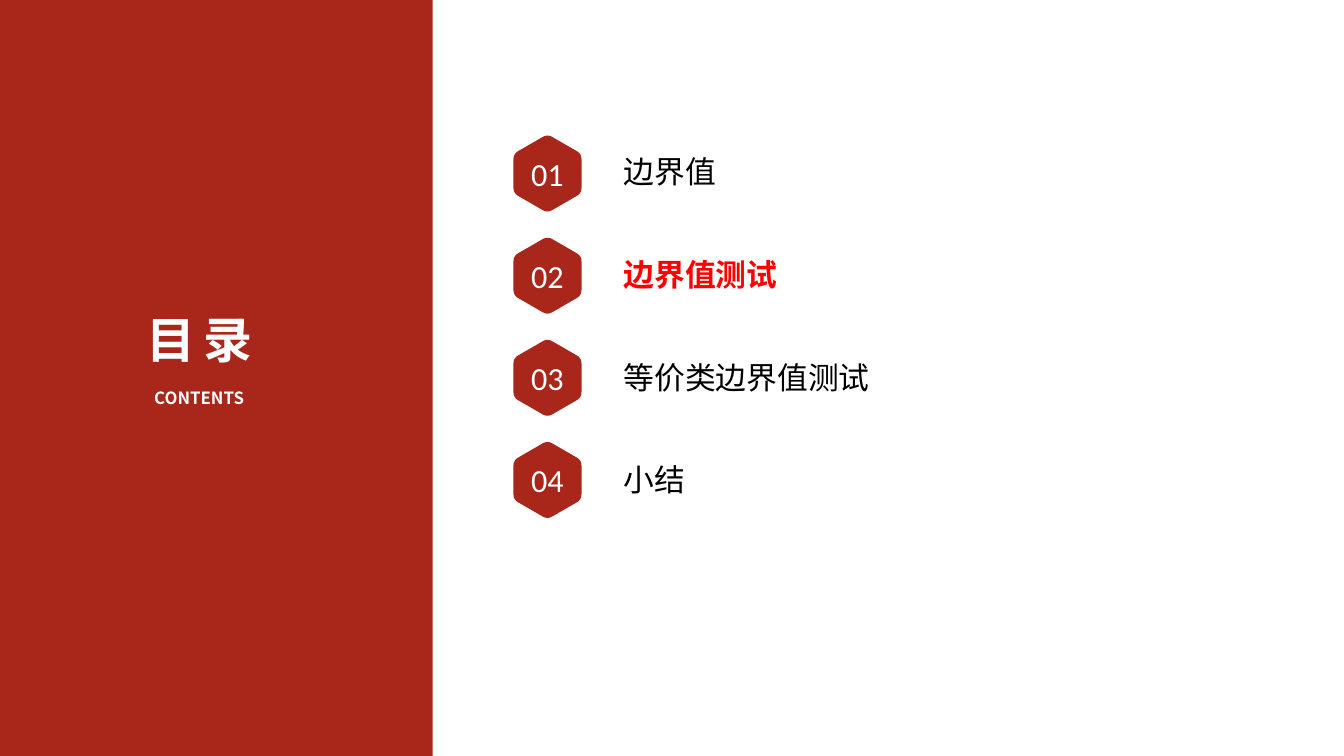
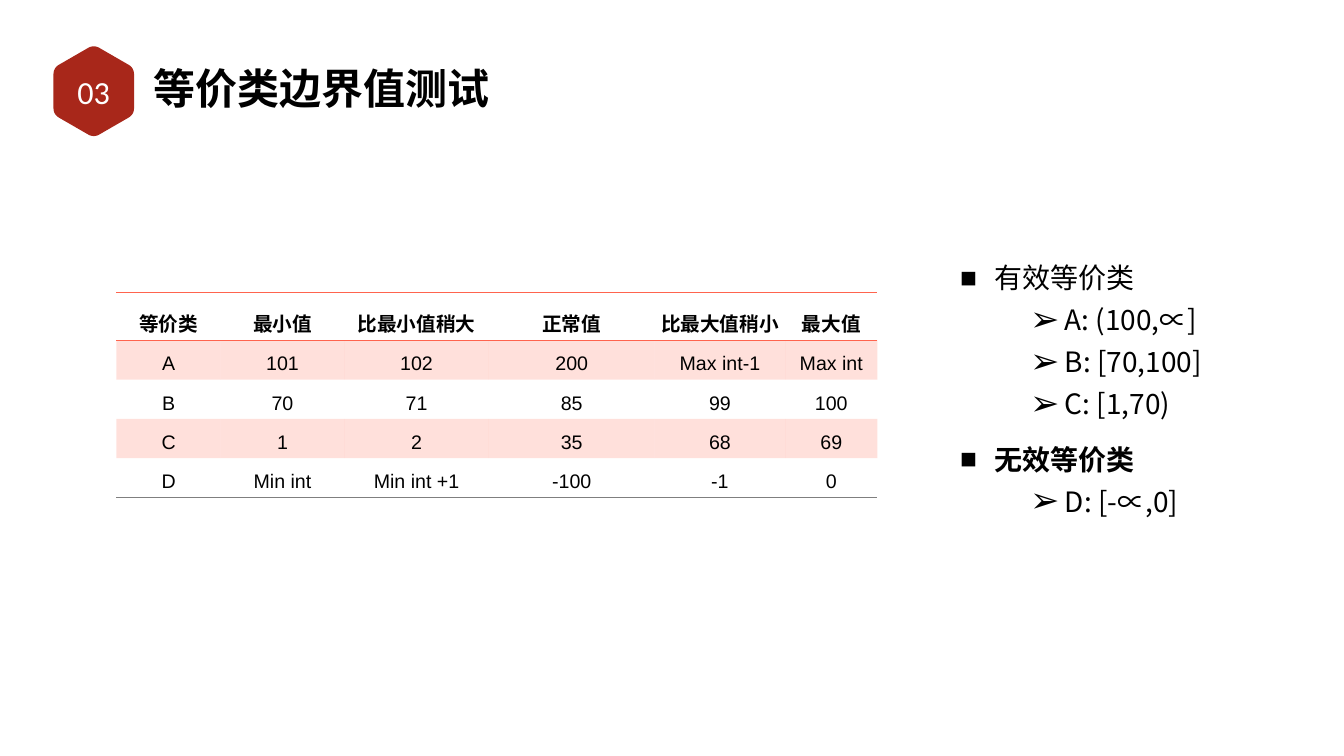
from math import cos, radians, sin

from lxml.etree import SubElement
from pptx import Presentation
from pptx.dml.color import RGBColor
from pptx.enum.shapes import MSO_SHAPE
from pptx.enum.text import MSO_ANCHOR, PP_ALIGN
from pptx.oxml import parse_xml
from pptx.oxml.ns import nsdecls, qn
from pptx.util import Inches, Pt

COLORS = {
    "brand": "A8271A",
    "white": "FFFFFF",
    "black": "000000",
    "current": "FF0000",
    "coral": "FF644E",
    "gray": "7F7F7F",
}
HAN_FONT = "Noto Sans CJK SC"
NUMBER_FONT = "Calibri"
TABLE_FONT = "Arial"
COLUMNS, ROWS = 80, 45
NO_TABLE_STYLE = "{2D5ABB26-0587-4C30-8999-92F81FD0307C}"

AGENDA = ["边界值", "边界值测试", "等价类边界值测试", "小结"]
CURRENT_TOPIC = 1

TABLE_ROWS = [
    ["等价类", "最小值", "比最小值稍大", "正常值", "比最大值稍小", "最大值"],
    ["A", "101", "102", "200", "Max int-1", "Max int"],
    ["B", "70", "71", "85", "99", "100"],
    ["C", "1", "2", "35", "68", "69"],
    ["D", "Min int", "Min int +1", "-100", "-1", "0"],
]
TABLE_COLUMNS = [6.21, 7.35, 8.61, 9.87, 7.77, 5.49]
HEADER_HEIGHT, ROW_HEIGHT = 2.85, 2.25

# Each class group: heading, whether it is bold, its members
CLASS_GROUPS = [
    ("有效等价类", False, ["A: (100,∝]", "B: [70,100]", "C: [1,70)"]),
    ("无效等价类", True, ["D: [-∝,0]"]),
]


class Deck:
    """Holds the style and the current slide; lengths are grid columns and rows."""

    def __init__(self):
        self.presentation = Presentation()
        self.presentation.slide_width = Inches(26.67)
        self.presentation.slide_height = Inches(15)
        self.slide = None

    def new_slide(self):
        self.slide = self.presentation.slides.add_slide(self.presentation.slide_layouts[6])

    def x(self, columns):
        return round(self.presentation.slide_width * columns / COLUMNS)

    def y(self, rows):
        return round(self.presentation.slide_height * rows / ROWS)

    def box(self, left, top, width, height):
        return self.x(left), self.y(top), self.x(width), self.y(height)

    def paint(self, shape, color):
        shape.shadow.inherit = False
        shape.fill.solid()
        shape.fill.fore_color.rgb = RGBColor.from_string(COLORS[color])
        shape.line.fill.background()

    def band(self, *area):
        self.paint(self.slide.shapes.add_shape(MSO_SHAPE.RECTANGLE, *self.box(*area)), "brand")

    def add_run(self, paragraph, text, size, color="black", bold=False, font=HAN_FONT, spacing=0):
        run = paragraph.add_run()
        run.text = text
        run.font.size = Pt(size)
        run.font.bold = bold
        run.font.name = font
        run.font.color.rgb = RGBColor.from_string(COLORS[color])
        properties = run.font._element
        east_asian = SubElement(properties, qn("a:ea"))
        east_asian.set("typeface", HAN_FONT)
        if spacing:
            properties.set("spc", str(round(spacing * 100)))

    def text_frame(self, area, anchor=MSO_ANCHOR.TOP, inset=0.05):
        frame = self.slide.shapes.add_textbox(*self.box(*area)).text_frame
        frame.word_wrap = True
        frame.vertical_anchor = anchor
        frame.margin_left = frame.margin_right = Inches(inset)
        frame.margin_top = frame.margin_bottom = Inches(inset)
        return frame

    def label(self, area, text, size, align=PP_ALIGN.LEFT, anchor=MSO_ANCHOR.TOP, **style):
        paragraph = self.text_frame(area, anchor).paragraphs[0]
        paragraph.alignment = align
        self.add_run(paragraph, text, size, **style)

    def title(self, text):
        frame = self.text_frame((8.97, 3.54, 26.13, 3.42), MSO_ANCHOR.MIDDLE, 0.06)
        self.add_run(frame.paragraphs[0], text, 60, bold=True)

    def hexagon(self, center_x, center_y, radius):
        """Draw a pointy-top hexagon with softly rounded corners."""
        corners = [
            (center_x + radius * cos(radians(angle)), center_y + radius * sin(radians(angle)))
            for angle in range(-90, 270, 60)
        ]
        cut, steps = 0.14, 6
        points = []
        for index, corner in enumerate(corners):
            before, after = corners[index - 1], corners[(index + 1) % 6]
            for step in range(steps + 1):
                t = step / steps
                pull_before, pull_after = cut * (1 - t) ** 2, cut * t ** 2
                px, py = (
                    c + pull_before * (b - c) + pull_after * (a - c)
                    for b, c, a in zip(before, corner, after)
                )
                points.append((self.x(px), self.y(py)))
        builder = self.slide.shapes.build_freeform(*points[0])
        builder.add_line_segments(points[1:], close=True)
        self.paint(builder.convert_to_shape(), "brand")

    def number_badge(self, number, center_x, center_y, radius):
        self.hexagon(center_x, center_y, radius)
        self.label(
            (center_x - 2.61, center_y - 1.57, 5.22, 3.15), f"{number:02}", 46,
            PP_ALIGN.CENTER, MSO_ANCHOR.MIDDLE, color="white", font=NUMBER_FONT,
        )

    def bullet(self, paragraph, symbol, indent, size=100):
        properties = paragraph._p.get_or_add_pPr()
        properties.set("marL", str(Inches(indent)))
        properties.set("indent", str(Inches(-0.69)))
        SubElement(properties, qn("a:buSzPct")).set("val", str(size * 1000))
        SubElement(properties, qn("a:buFont")).set("typeface", TABLE_FONT)
        SubElement(properties, qn("a:buChar")).set("char", symbol)

    def class_list(self, area, groups):
        frame = self.text_frame(area, MSO_ANCHOR.MIDDLE, 0.06)
        lines = []
        for heading, bold, members in groups:
            lines.append((heading, bold, "■", 0.69, 100, 1.65))
            lines += [(member, False, "➢", 2.08, 125, 1.25) for member in members]
        for index, (text, bold, symbol, indent, size, spacing) in enumerate(lines):
            paragraph = frame.add_paragraph() if index else frame.paragraphs[0]
            self.bullet(paragraph, symbol, indent, size)
            paragraph.line_spacing = spacing
            self.add_run(paragraph, text, 40, bold=bold)

    def cell_borders(self, cell, top=None, bottom=None):
        properties = cell._tc.get_or_add_tcPr()
        edges = [(tag, color) for tag, color in (("lnT", top), ("lnB", bottom)) if color]
        for index, (tag, color) in enumerate(edges):
            properties.insert(index, parse_xml(
                f'<a:{tag} {nsdecls("a")} w="12700"><a:solidFill>'
                f'<a:srgbClr val="{COLORS[color]}"/></a:solidFill></a:{tag}>'
            ))

    def cell_fill(self, cell, shaded):
        if not shaded:
            cell.fill.background()
            return
        cell.fill.solid()
        cell.fill.fore_color.rgb = RGBColor.from_string(COLORS["coral"])
        color = cell._tc.tcPr.find(".//" + qn("a:srgbClr"))
        SubElement(color, qn("a:alpha")).set("val", "20000")

    def table(self, left, top, widths, rows):
        height = HEADER_HEIGHT + ROW_HEIGHT * (len(rows) - 1)
        frame = self.slide.shapes.add_table(
            len(rows), len(widths), *self.box(left, top, sum(widths), height))
        table = frame.table
        table.first_row = table.horz_banding = False
        frame._element.find(".//" + qn("a:tableStyleId")).text = NO_TABLE_STYLE
        for column, width in zip(table.columns, widths):
            column.width = self.x(width)
        for r, values in enumerate(rows):
            header, last = r == 0, r == len(rows) - 1
            table.rows[r].height = self.y(HEADER_HEIGHT if header else ROW_HEIGHT)
            for c, value in enumerate(values):
                cell = table.cell(r, c)
                cell.margin_top = cell.margin_bottom = Inches(0.04)
                paragraph = cell.text_frame.paragraphs[0]
                paragraph.alignment = PP_ALIGN.CENTER
                paragraph.line_spacing = 1.5
                self.add_run(paragraph, value, 28, bold=header, font=TABLE_FONT)
                self.cell_fill(cell, r % 2 == 1)
                if header:
                    self.cell_borders(cell, "coral", "coral")
                elif last:
                    self.cell_borders(cell, bottom="gray")


def build_contents(deck):
    deck.new_slide()
    deck.band(0, 0, 25.75, ROWS)
    deck.label((5.6, 22.92, 12.5, 3), "CONTENTS", 24, PP_ALIGN.CENTER, color="white", bold=True)
    deck.label((3.36, 18.25, 17, 8.5), "目录", 70, PP_ALIGN.CENTER,
               color="white", bold=True, spacing=11.7)
    for index, topic in enumerate(AGENDA):
        current = index == CURRENT_TOPIC
        deck.number_badge(index + 1, 32.59, 10.33 + 6.08 * index, 2.34)
        deck.label((36.96, 8.94 + 6.12 * index, 15.1, 2.5), topic, 44,
                   color="current" if current else "black", bold=current)


def build_equivalence_classes(deck):
    deck.new_slide()
    deck.number_badge(3, 5.58, 5.43, 2.77)
    deck.title(AGENDA[2])
    deck.class_list((56.97, 12.27, 16.08, 20.49), CLASS_GROUPS)
    deck.table(6.93, 17.4, TABLE_COLUMNS, TABLE_ROWS)


def main():
    deck = Deck()
    build_contents(deck)
    build_equivalence_classes(deck)
    deck.presentation.save("out.pptx")


if __name__ == "__main__":
    main()
